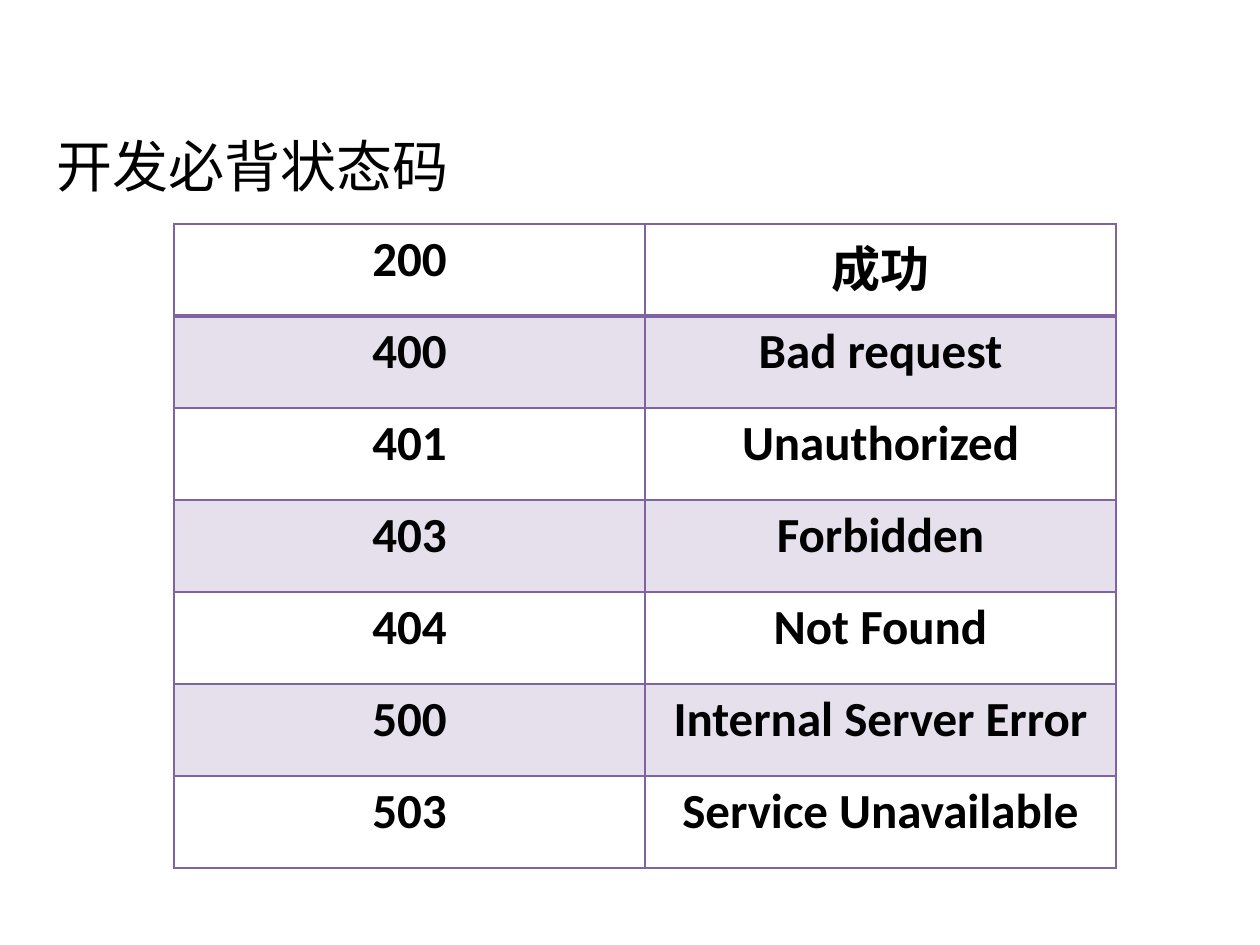
from lxml import etree
from pptx import Presentation, util as u
from pptx.dml.color import RGBColor
from pptx.enum import text as t
from pptx.oxml import ns

COLORS = {"ink": "000000", "rule": "8064A2"}
FONT = "Calibri"
CODES = [
    ("200", "成功"),
    ("400", "Bad request"),
    ("401", "Unauthorized"),
    ("403", "Forbidden"),
    ("404", "Not Found"),
    ("500", "Internal Server Error"),
    ("503", "Service Unavailable"),
]


def px(n):
    return u.Emu(round(n * 914400 / 126))


def write(frame, words, size, bold=False, align=t.PP_ALIGN.LEFT):
    para = frame.paragraphs[0]
    para.alignment = align
    run = para.add_run()
    run.text = words
    font = run.font
    font.name, font.size, font.bold = FONT, u.Pt(size), bold
    font.color.rgb = RGBColor.from_string(COLORS["ink"])


def add_title(slide, words, left, top, width, height):
    box = slide.shapes.add_textbox(px(left), px(top), px(width), px(height))
    box.text_frame.word_wrap = True
    write(box.text_frame, words, 32)


def add_edge(cell, side, width):
    props = cell._tc.get_or_add_tcPr()
    line = etree.SubElement(props, ns.qn(f"a:ln{side}"), w=str(u.Pt(width)))
    fill = etree.SubElement(line, ns.qn("a:solidFill"))
    etree.SubElement(fill, ns.qn("a:srgbClr"), val=COLORS["rule"])


def shade(cell, percent):
    cell.fill.solid()
    cell.fill.fore_color.rgb = RGBColor.from_string(COLORS["rule"])
    color = cell._tc.tcPr.find(".//" + ns.qn("a:srgbClr") + "[last()]")
    color = cell._tc.tcPr.find(ns.qn("a:solidFill")).find(ns.qn("a:srgbClr"))
    etree.SubElement(color, ns.qn("a:alpha"), val=str(percent * 1000))


def add_codes(slide, rows, left, top, width, height):
    count = len(rows)
    table = slide.shapes.add_table(
        count, 2, px(left), px(top), px(2 * width), px(count * height)
    ).table
    table.first_row = table.horz_banding = False
    for col in table.columns:
        col.width = px(width)
    for i, row in enumerate(rows):
        table.rows[i].height = px(height)
        for j, words in enumerate(row):
            cell = table.cell(i, j)
            write(cell.text_frame, words, 28, bold=True, align=t.PP_ALIGN.CENTER)
            for side in "LRTB":
                head = (i, side) in ((0, "B"), (1, "T"))
                add_edge(cell, side, 2 if head else 1)
            if i % 2:
                shade(cell, 20)
            else:
                cell.fill.background()


def main():
    deck = Presentation()
    deck.slide_width, deck.slide_height = px(1260), px(945)
    slide = deck.slides.add_slide(deck.slide_layouts[6])
    add_title(slide, "开发必背状态码", 44, 125, 1071, 81)
    add_codes(slide, CODES, 174, 224, 471, 92)
    deck.save("out.pptx")


if __name__ == "__main__":
    main()
